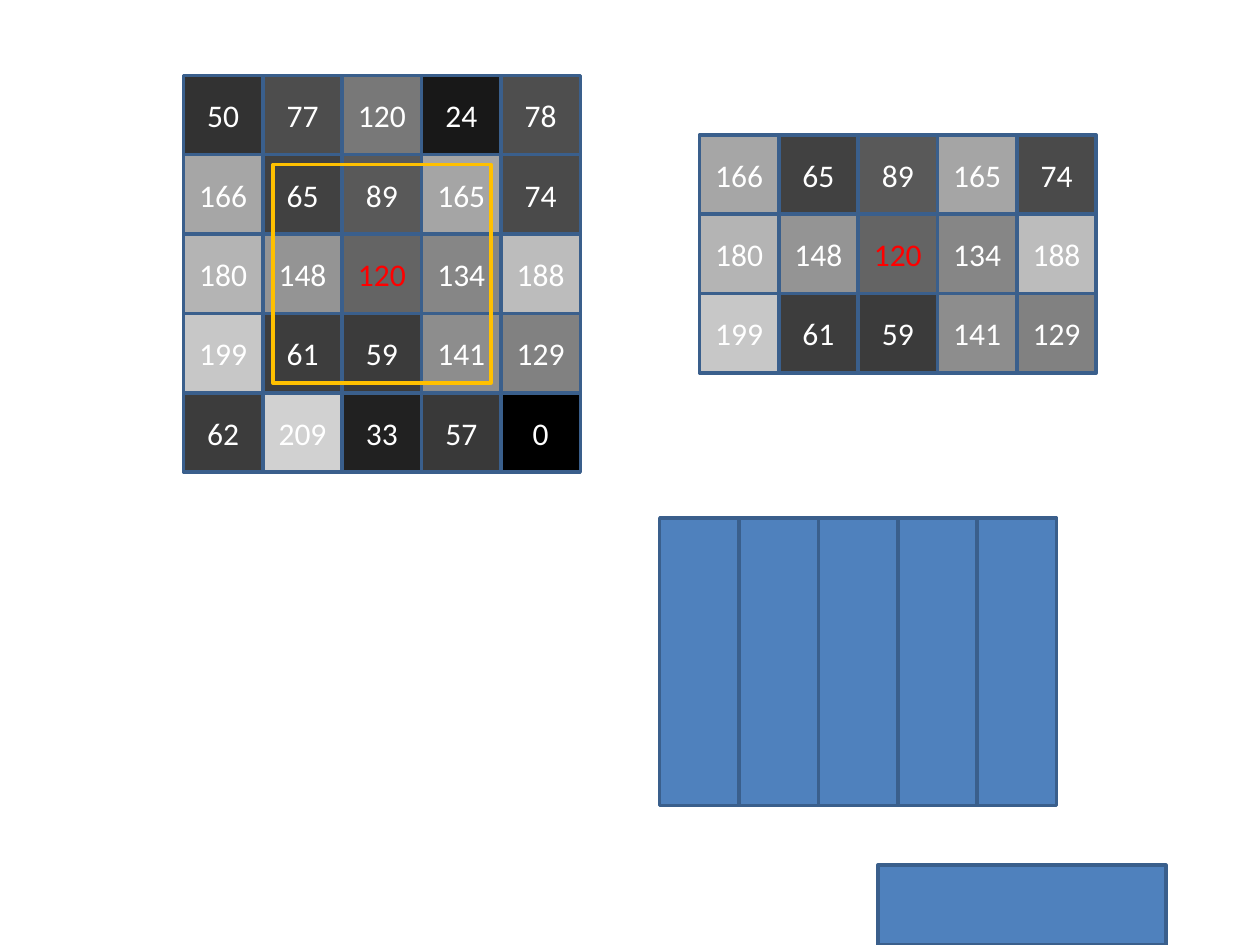
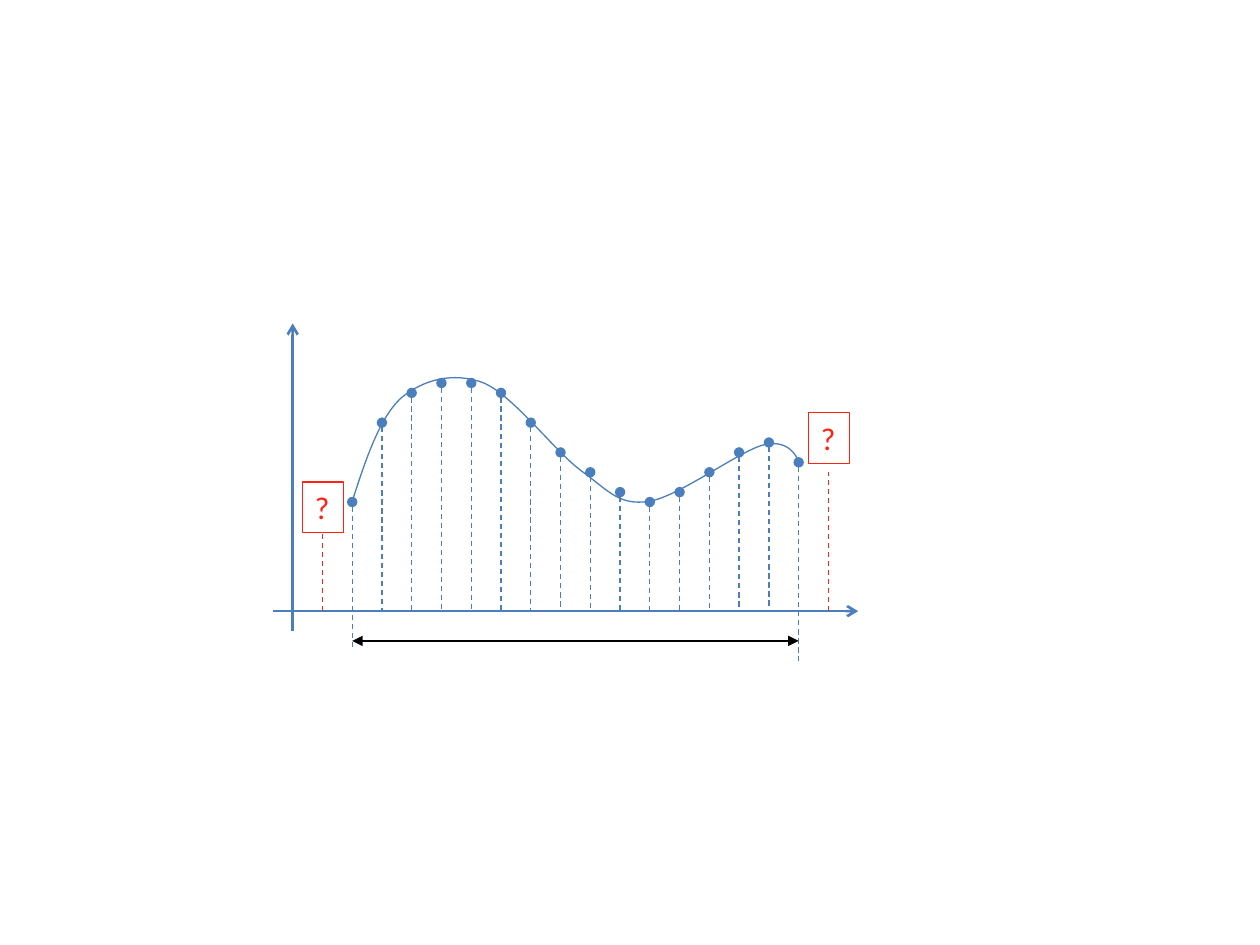
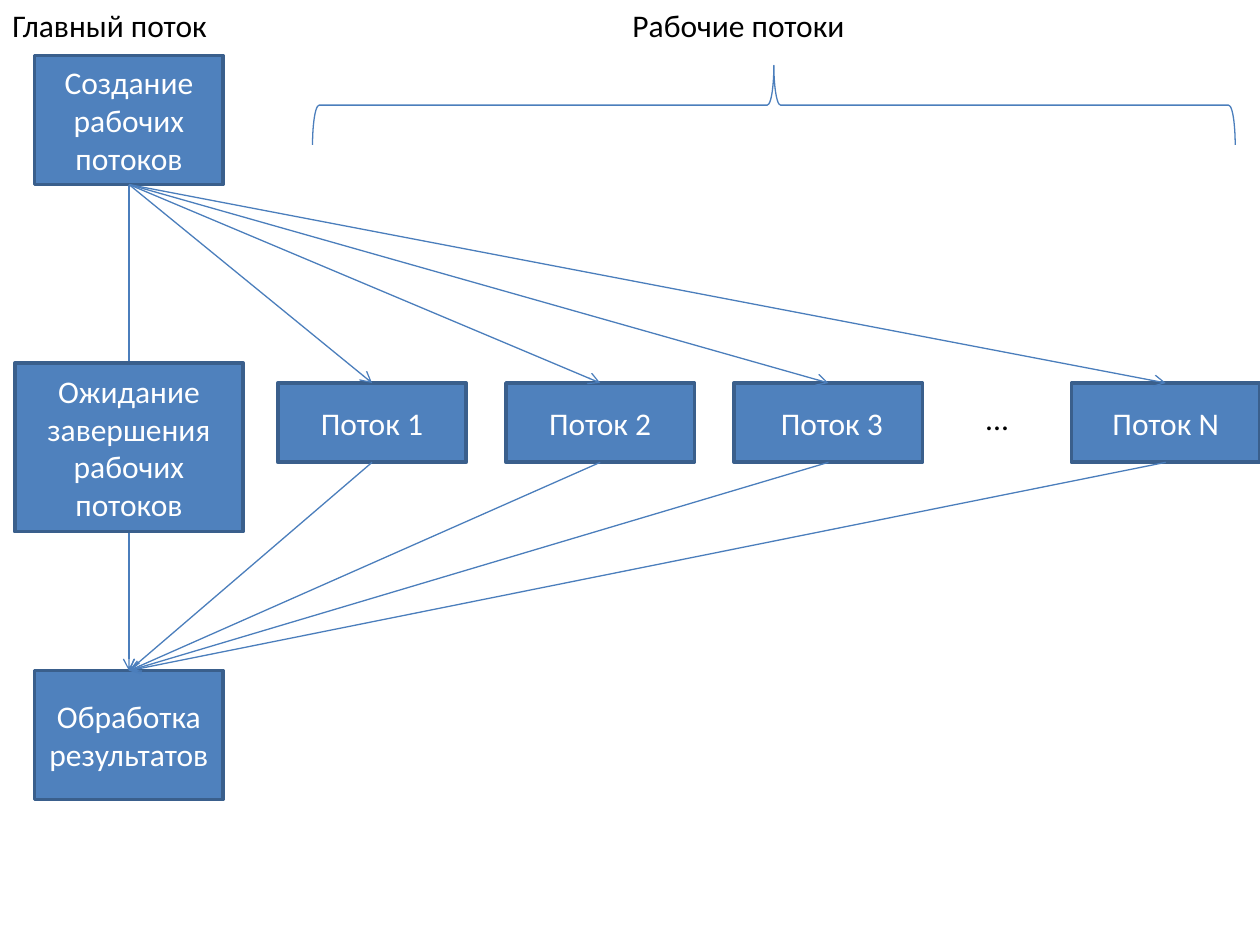
import pptx
import pptx.dml.color
import pptx.enum.dml
import pptx.enum.shapes
import pptx.enum.text
import pptx.oxml.ns
import pptx.oxml.xmlchemy
import pptx.util
from lxml import etree

Cm = pptx.util.Cm
Pt = pptx.util.Pt
Shapes = pptx.enum.shapes.MSO_SHAPE
Align = pptx.enum.text.PP_ALIGN
Anchor = pptx.enum.text.MSO_ANCHOR
AutoSize = pptx.enum.text.MSO_AUTO_SIZE
qn = pptx.oxml.ns.qn

COLOURS = {
    "fill": "4F81BD",
    "border": "3A5F8C",
    "line": "4B7EBC",
    "window": "FFC000",
    "highlight": "FF0000",
    "unknown": "FF2111",
    "white": "FFFFFF",
    "black": "000000",
}
FONT = {"name": "Calibri", "size": Pt(18)}
CENTRED_FRAME = {"word_wrap": True, "vertical_anchor": Anchor.MIDDLE}
LABEL_FRAME = {
    "word_wrap": True,
    "vertical_anchor": Anchor.TOP,
    "auto_size": AutoSize.SHAPE_TO_FIT_TEXT,
}
TIGHT_FRAME = {**LABEL_FRAME, "word_wrap": False}

CELL = 1.6
PIXELS = [
    [50, 77, 120, 24, 78],
    [166, 65, 89, 165, 74],
    [180, 148, 120, 134, 188],
    [199, 61, 59, 141, 129],
    [62, 209, 33, 57, 0],
]
SHADES = {62: 60}
CENTRE_SHADE = 100

AXIS_Y = 12.32
STEP = 0.2
FIRST_X = 7.1
SAMPLE_GAP = 0.6
SAMPLE_STEPS = [11, 19, 22, 23, 23, 22, 19, 16, 14, 12, 11, 12, 14, 16, 17, 15]
STEPS_BELOW = {0: 4, 15: 5}
CURVE = [
    (7.1, 10.11),
    (7.37, 9.27), (7.65, 8.43), (8.08, 8.03),
    (8.53, 7.65), (9.14, 7.49), (9.75, 7.72),
    (10.36, 7.98), (11.2, 9.12), (11.73, 9.5),
    (12.29, 9.91), (12.47, 10.19), (13.08, 10.11),
    (13.69, 10.01), (14.91, 9.09), (15.39, 8.97),
    (15.9, 8.84), (16.08, 9.22), (16.1, 9.32),
]

MAIN_X = 2.6
BOX_WIDTH = 3.8
THREADS = {"Поток 1": 7.5, "Поток 2": 12.1, " Поток 3": 16.7, "Поток N": 23.5}


def apply(target, values):
    for name, value in values.items():
        setattr(target, name, value)


def rgb(colour):
    return pptx.dml.color.RGBColor.from_string(COLOURS.get(colour, colour))


def style_line(line, colour, width):
    line.color.rgb = rgb(colour)
    line.width = Pt(width)


def write(shape, text, colour, alignment, frame_format):
    frame = shape.text_frame
    apply(frame, frame_format)
    paragraph = frame.paragraphs[0]
    paragraph.alignment = alignment
    run = paragraph.add_run()
    run.text = text
    apply(run.font, FONT)
    run.font.color.rgb = rgb(colour)


def add_box(slide, place, fill="fill", border="border", width=2, preset=Shapes.RECTANGLE):
    shape = slide.shapes.add_shape(preset, *map(Cm, place))
    shape.shadow.inherit = False
    if fill:
        shape.fill.solid()
        shape.fill.fore_color.rgb = rgb(fill)
    else:
        shape.fill.background()
    style_line(shape.line, border, width)
    return shape


def add_text_box(slide, place, text, fill="fill", colour="white"):
    shape = add_box(slide, place, fill)
    write(shape, text, colour, Align.CENTER, CENTRED_FRAME)


def add_label(slide, place, text, alignment=Align.LEFT):
    label = slide.shapes.add_textbox(*map(Cm, place))
    write(label, text, "black", alignment, LABEL_FRAME)


def add_line(slide, start, end, colour="line", width=0.75, dashed=False, head=None, tail=None):
    connector = slide.shapes.add_connector(
        pptx.enum.shapes.MSO_CONNECTOR.STRAIGHT, *map(Cm, (*start, *end))
    )
    style_line(connector.line, colour, width)
    if dashed:
        connector.line.dash_style = pptx.enum.dml.MSO_LINE.DASH
    properties = connector.element.spPr
    for tag, kind in (("a:headEnd", head), ("a:tailEnd", tail)):
        if kind:
            etree.SubElement(properties.find(qn("a:ln")), qn(tag), type=kind)
    etree.SubElement(properties, qn("a:effectLst"))


def add_curve(slide, points):
    start, *others = [(Cm(x), Cm(y)) for x, y in points]
    builder = slide.shapes.build_freeform(*start)
    builder.add_line_segments(others, close=False)
    shape = builder.convert_to_shape()
    shape.shadow.inherit = False
    shape.fill.background()
    style_line(shape.line, "line", 0.75)
    segments = iter(shape.element.xpath(".//a:lnTo"))
    for first, second, third in zip(segments, segments, segments):
        first.tag = qn("a:cubicBezTo")
        for segment in (second, third):
            first.append(segment[0])
            segment.getparent().remove(segment)


def add_pixels(slide, left, top, rows):
    for row, values in enumerate(rows):
        for column, value in enumerate(values):
            centre = row == len(rows) // 2 and column == len(values) // 2
            shade = CENTRE_SHADE if centre else SHADES.get(value, value)
            place = (left + column * CELL, top + row * CELL, CELL, CELL)
            colour = "highlight" if centre else "white"
            add_text_box(slide, place, str(value), f"{shade:02X}" * 3, colour)


def add_unknown(slide, x, stem_top, box_top):
    add_line(slide, (x, AXIS_Y), (x, stem_top), "unknown", dashed=True)
    box = add_box(slide, (x - 0.4, box_top, 0.82, 1.02), None, "unknown", 0.75)
    write(box, "?", "unknown", Align.LEFT, TIGHT_FRAME)


def build_pixel_slide(slide):
    for column in range(5):
        add_box(slide, (13.3 + column * CELL, 10.44, CELL, 5.8))
    add_box(slide, (19.8, 15.34, CELL, 5.8)).rotation = 90
    add_pixels(slide, 3.7, 1.52, PIXELS)
    add_box(slide, (5.5, 3.32, 4.4, 4.4), None, "window")
    add_pixels(slide, 14.1, 2.72, PIXELS[1:4])


def build_signal_slide(slide):
    add_line(slide, (5.5, AXIS_Y), (17.3, AXIS_Y), width=1.5, tail="arrow")
    add_curve(slide, CURVE)
    for index, steps in enumerate(SAMPLE_STEPS):
        x = FIRST_X + index * SAMPLE_GAP
        bottom = AXIS_Y + STEPS_BELOW.get(index, 0) * STEP
        add_line(slide, (x, AXIS_Y - steps * STEP), (x, bottom), dashed=True, head="oval")
    add_line(slide, (FIRST_X, 12.92), (x, 12.92), "black", 1.5, head="triangle", tail="triangle")
    add_unknown(slide, FIRST_X - SAMPLE_GAP, 10.72, 9.72)
    add_unknown(slide, x + SAMPLE_GAP, 9.52, 8.32)
    add_line(slide, (5.9, 12.72), (5.9, 6.52), width=1.5, tail="arrow")


def build_thread_slide(slide):
    main_left = MAIN_X - BOX_WIDTH / 2
    fork = (MAIN_X, 3.72)
    join = (MAIN_X, 13.52)
    add_text_box(slide, (main_left, 1.12, BOX_WIDTH, 2.6), "Создание рабочих потоков")
    add_text_box(slide, (main_left, 13.52, BOX_WIDTH, 2.6), "Обработка результатов")
    for name, x in THREADS.items():
        add_text_box(slide, (x - BOX_WIDTH / 2, 7.72, BOX_WIDTH, CELL), name)
        add_line(slide, fork, (x, 7.72), tail="arrow")
        add_line(slide, (x, 7.72 + CELL), join, tail="arrow")
    add_line(slide, fork, join, tail="arrow")
    add_label(slide, (19, 7.92, 2.2, 1.02), "...", Align.CENTER)
    add_text_box(slide, (0.3, 7.32, 4.6, 3.4), "Ожидание завершения рабочих потоков")
    add_label(slide, (0, 0, 5.5, 1.02), "Главный поток")
    add_label(slide, (12.5, 0, 5.5, 1.02), "Рабочие потоки")
    brace = add_box(slide, (14.8, -7.18, CELL, 18.6), None, "line", 0.75, Shapes.LEFT_BRACE)
    brace.rotation = 90


def main():
    presentation = pptx.Presentation()
    presentation.slide_width = Cm(25.4)
    presentation.slide_height = Cm(19.05)
    for build in (build_pixel_slide, build_signal_slide, build_thread_slide):
        build(presentation.slides.add_slide(presentation.slide_layouts[6]))
    presentation.save("out.pptx")


main()
